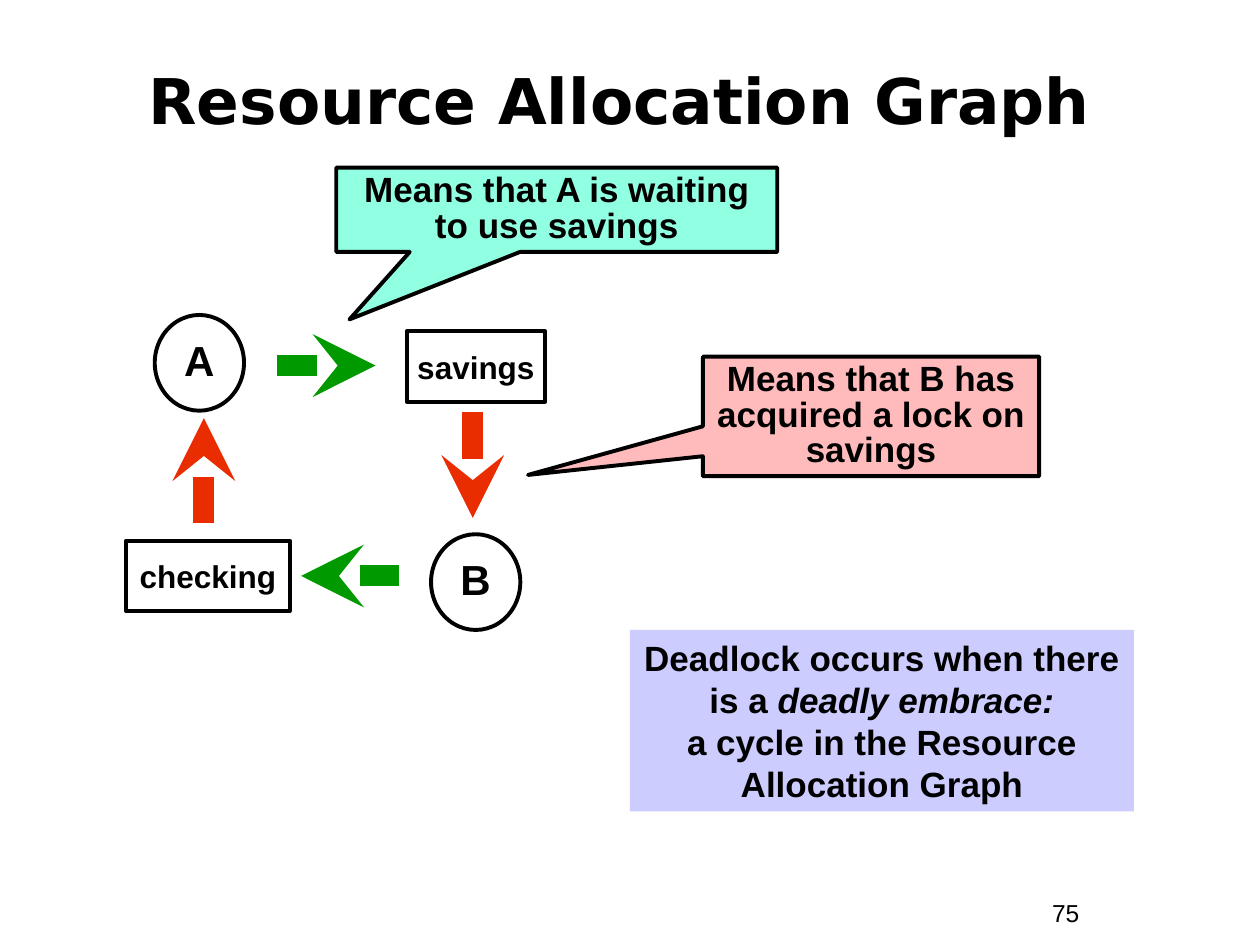
"""Build a slide showing a resource allocation graph with a deadlock cycle."""
import lxml.etree
import pptx
import pptx.dml.color
import pptx.enum.shapes
import pptx.enum.text
import pptx.oxml.ns
import pptx.util

Cm = pptx.util.Cm
Pt = pptx.util.Pt
SHAPE = pptx.enum.shapes.MSO_SHAPE
ANCHOR = pptx.enum.text.MSO_ANCHOR
ALIGN = pptx.enum.text.PP_ALIGN


def color(value):
    """Return the colour for a hex string."""
    return pptx.dml.color.RGBColor.from_string(value)


def write(shape, text, size, anchor, wrap=True, align=ALIGN.CENTER, bold=True, font="Arial", spacing=1.0):
    """Write one formatted paragraph, with *asterisks* around italic words."""
    frame = shape.text_frame
    frame.word_wrap = wrap
    frame.vertical_anchor = anchor
    paragraph = frame.paragraphs[0]
    paragraph.alignment = align
    paragraph.line_spacing = spacing
    parts = text.split("*")
    paragraph.text = parts[0]
    for part in parts[1:]:
        if part.startswith("\n"):
            paragraph.add_line_break()
        paragraph.add_run().text = part.strip("\n")
    for index, run in enumerate(paragraph.runs):
        run.font.name = font
        run.font.size = Pt(size)
        run.font.bold = bold
        run.font.italic = index % 2 == 1
        run.font.color.rgb = color("000000")


presentation = pptx.Presentation()
presentation.slide_width = Cm(25.4)
presentation.slide_height = Cm(19.05)
slide = presentation.slides.add_slide(presentation.slide_layouts[6])

number = slide.shapes.add_textbox(Cm(20.96), Cm(17.98), Cm(2.34), Cm(0.86))
write(number, "75", 14, ANCHOR.TOP, align=ALIGN.LEFT, bold=False)

title = slide.shapes.add_textbox(Cm(0.64), Cm(0.84), Cm(23.7), Cm(2.34))
write(title, "Resource Allocation Graph", 36, ANCHOR.MIDDLE, font="DejaVu Sans")

nodes = [
    ("A", SHAPE.OVAL, 3.12, 6.35, 1.8, 1.93, 24, 0.9),
    ("savings", SHAPE.RECTANGLE, 8.2, 6.68, 2.79, 1.42, 18, 1.0),
    ("B", SHAPE.OVAL, 8.69, 10.77, 1.8, 1.93, 24, 0.9),
    ("checking", SHAPE.RECTANGLE, 2.54, 10.9, 3.3, 1.42, 18, 1.0),
]
for text, kind, left, top, width, height, size, spacing in nodes:
    node = slide.shapes.add_shape(kind, Cm(left), Cm(top), Cm(width), Cm(height))
    node.shadow.inherit = False
    node.fill.background()
    node.line.color.rgb = color("000000")
    node.line.width = Pt(2.25)
    write(node, text, size, ANCHOR.MIDDLE, wrap=False, spacing=spacing)

arrows = [
    (5.59, 7.37, 7.57, 7.37, "009900"),
    (8.05, 11.61, 6.07, 11.61, "009900"),
    (4.11, 10.54, 4.11, 8.43, "EA2D00"),
    (9.53, 8.31, 9.53, 10.44, "EA2D00"),
]
for start_x, start_y, end_x, end_y, stroke in arrows:
    arrow = slide.shapes.add_connector(
        pptx.enum.shapes.MSO_CONNECTOR.STRAIGHT, Cm(start_x), Cm(start_y), Cm(end_x), Cm(end_y))
    arrow.line.color.rgb = color(stroke)
    arrow.line.width = Pt(12)
    properties = arrow.line._get_or_add_ln()
    lxml.etree.SubElement(properties, pptx.oxml.ns.qn("a:tailEnd"), type="stealth")
    lxml.etree.SubElement(arrow._element.spPr, pptx.oxml.ns.qn("a:effectLst"))

summary = slide.shapes.add_shape(SHAPE.RECTANGLE, Cm(12.7), Cm(12.7), Cm(10.16), Cm(3.66))
summary.shadow.inherit = False
summary.fill.solid()
summary.fill.fore_color.rgb = color("CCCCFF")
summary.line.fill.background()
write(summary, "Deadlock occurs when there is a *deadly embrace:*\na cycle in the Resource Allocation Graph",
      20, ANCHOR.TOP)

callouts = [
    ("Means that A is waiting to use savings", 6.78, 3.38, 8.89, 1.7, "91FFE2", (-0.47, 1.3)),
    ("Means that B has acquired a lock on savings", 14.17, 7.19, 6.78, 2.41, "FFBBBB", (-1.02, 0.49)),
]
for text, left, top, width, height, fill, pointer in callouts:
    callout = slide.shapes.add_shape(
        SHAPE.RECTANGULAR_CALLOUT, Cm(left), Cm(top), Cm(width), Cm(height))
    callout.adjustments[0], callout.adjustments[1] = pointer
    callout.shadow.inherit = False
    callout.fill.solid()
    callout.fill.fore_color.rgb = color(fill)
    callout.line.color.rgb = color("000000")
    callout.line.width = Pt(2.25)
    write(callout, text, 20, ANCHOR.TOP, spacing=0.85)

presentation.save("out.pptx")
